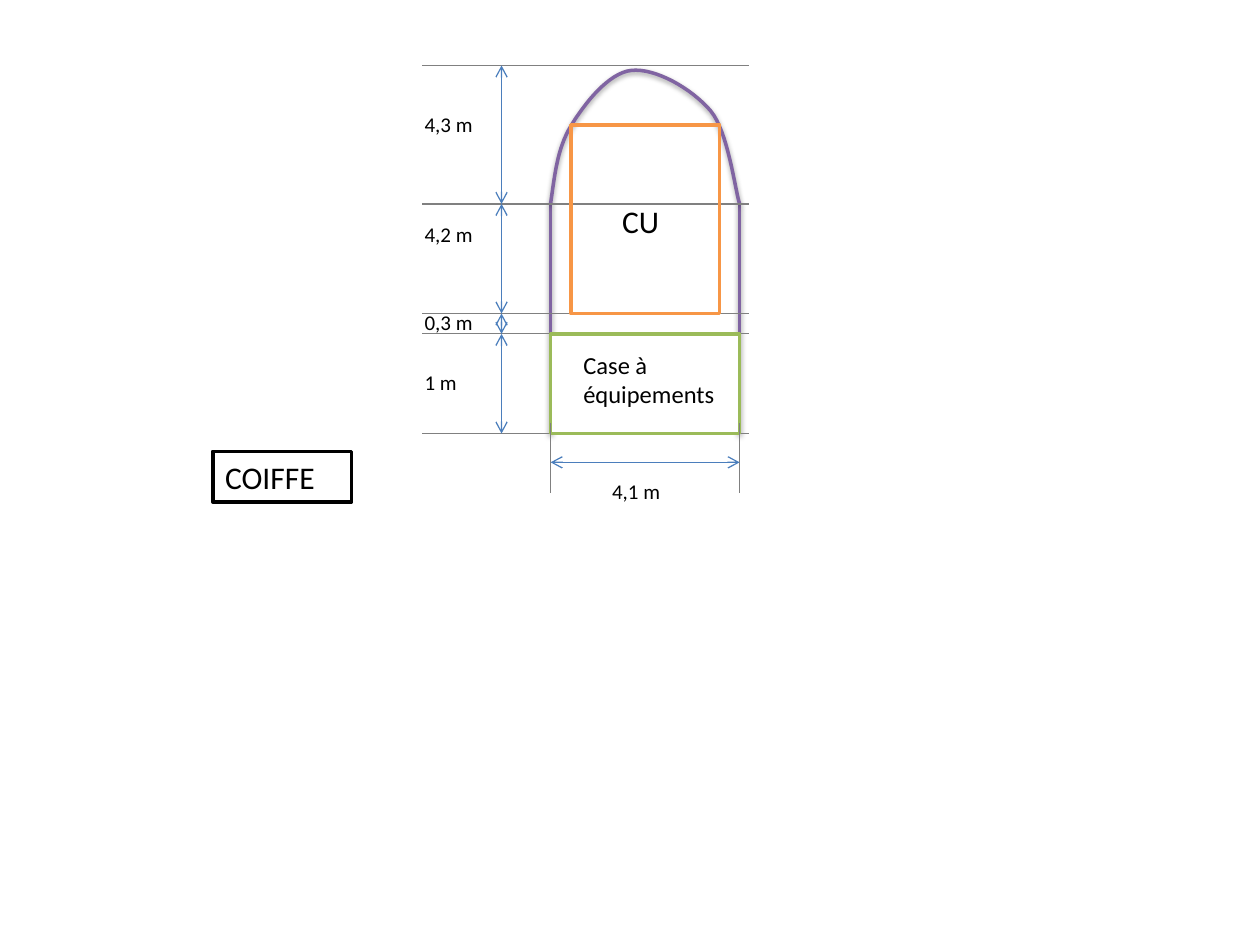
import pptx
import pptx.util
import pptx.oxml
import pptx.oxml.ns
import pptx.dml.color
import pptx.enum.shapes
import pptx.enum.text
from lxml import etree

Cm, Pt = pptx.util.Cm, pptx.util.Pt
qn = pptx.oxml.ns.qn
RGB = pptx.dml.color.RGBColor.from_string
COLORS = {"fairing": "8064A2", "cu": "F79646", "bay": "9BBB59", "guide": "808080",
          "arrow": "4B7EBC", "text": "000000", "white": "FFFFFF"}

prs = pptx.Presentation()
prs.slide_width, prs.slide_height = Cm(25.4), Cm(19.05)
s = prs.slides.add_slide(prs.slide_layouts[6])

# Levels and edges of the fairing, in cm
top, shoulder, cu_bottom, bay_top, bottom = levels = [1.32, 4.11, 6.32, 6.73, 8.74]
left, right = 11.1, 14.91


def style_line(sp, color, width, shadow=False, arrows=False):
    sp.line.color.rgb = RGB(COLORS[color])
    sp.line.width = Pt(width)
    if arrows:
        ln = sp.line._get_or_add_ln()
        for end in ("a:headEnd", "a:tailEnd"):
            etree.SubElement(ln, qn(end), type="arrow")
    spPr = sp._element.spPr
    for old in spPr.findall(qn("a:effectLst")):
        spPr.remove(old)
    effects = etree.SubElement(spPr, qn("a:effectLst"))
    if shadow:
        outer = etree.SubElement(effects, qn("a:outerShdw"), blurRad=str(Pt(3.1)),
                                 dist=str(Pt(1.6)), dir="5400000", rotWithShape="0")
        black = etree.SubElement(outer, qn("a:srgbClr"), val=COLORS["text"])
        etree.SubElement(black, qn("a:alpha"), val="38000")


def add_line(x1, y1, x2, y2, color, width=0.75, **options):
    line = s.shapes.add_connector(pptx.enum.shapes.MSO_CONNECTOR.STRAIGHT,
                                  Cm(x1), Cm(y1), Cm(x2), Cm(y2))
    style_line(line, color, width, **options)


# Fairing walls
for x in (left, right):
    add_line(x, bottom, x, shoulder, "fairing", 2, shadow=True)

# Fairing nose, sampled from cubic curves
curves = [[(left, shoulder), (11.18, 3.56), (11.23, 3), (11.51, 2.54)],
          [(11.51, 2.54), (11.79, 2.08), (12.27, 1.47), (12.73, 1.42)],
          [(12.73, 1.42), (13.21, 1.37), (13.94, 1.78), (14.33, 2.24)],
          [(14.33, 2.24), (14.68, 2.67), (14.81, 3.78), (right, shoulder)]]
steps = 16
points = []
for curve in curves:
    for i in range(1, steps + 1):
        t = i / steps
        weights = [(1 - t) ** 3, 3 * t * (1 - t) ** 2, 3 * t ** 2 * (1 - t), t ** 3]
        points.append([Cm(sum(w * p[axis] for w, p in zip(weights, curve)))
                       for axis in (0, 1)])
builder = s.shapes.build_freeform(Cm(left), Cm(shoulder))
builder.add_line_segments(points, close=False)
nose = builder.convert_to_shape()
nose.fill.background()
style_line(nose, "fairing", 2, shadow=True)

# Level lines and height arrows
for y in levels:
    add_line(15.09, y, 8.51, y, "guide")
for y1, y2 in zip(levels, levels[1:]):
    add_line(10.11, y1, 10.11, y2, "arrow", arrows=True)

# Boxes: left, top, width, height, line, fill, text
boxes = [(11.51, 2.52, 3, cu_bottom - 2.52, "cu", None, ""),
         (left, bay_top, right - left, bottom - bay_top, "bay", "white", ""),
         (4.29, 9.1, 2.8, 1.02, "text", "white", "COIFFE")]
for x, y, w, h, color, fill, text in boxes:
    sp = s.shapes.add_shape(pptx.enum.shapes.MSO_SHAPE.RECTANGLE, Cm(x), Cm(y), Cm(w), Cm(h))
    style_line(sp, color, 2)
    if fill:
        sp.fill.solid()
        sp.fill.fore_color.rgb = RGB(COLORS[fill])
    else:
        sp.fill.background()
    if text:
        tf = sp.text_frame
        tf.text = text
        tf.vertical_anchor = pptx.enum.text.MSO_ANCHOR.TOP
        p = tf.paragraphs[0]
        p.alignment = pptx.enum.text.PP_ALIGN.LEFT
        r = p.runs[0]
        r.font.name, r.font.size = "Calibri", Pt(18)
        r.font.color.rgb = RGB(COLORS["text"])

# Width dimension
for x in (left, right):
    add_line(x, 8.53, x, 9.93, "guide")
add_line(left, 9.32, right, 9.32, "arrow", arrows=True)

# Labels: text, left, top, width, height, size
labels = [("4,3 m", 8.31, 2.13, 1.6, 0.77, 12),
          ("4,2 m", 8.31, 4.34, 1.6, 0.77, 12),
          ("0,3 m", 8.31, 6.12, 1.6, 0.77, 12),
          ("1 m", 8.31, 7.32, 1.6, 0.77, 12),
          ("4,1 m", 12.09, 9.53, 3.6, 0.77, 12),
          ("CU", 12.29, 3.94, 1.8, 1.02, 18),
          ("Case à équipements", 11.51, 6.93, 3.99, 1.45, 14)]
for text, x, y, w, h, size in labels:
    tf = s.shapes.add_textbox(Cm(x), Cm(y), Cm(w), Cm(h)).text_frame
    tf.word_wrap = True
    tf.text = text
    r = tf.paragraphs[0].runs[0]
    r.font.name, r.font.size = "Calibri", Pt(size)
    r.font.color.rgb = RGB(COLORS["text"])

prs.save("out.pptx")
